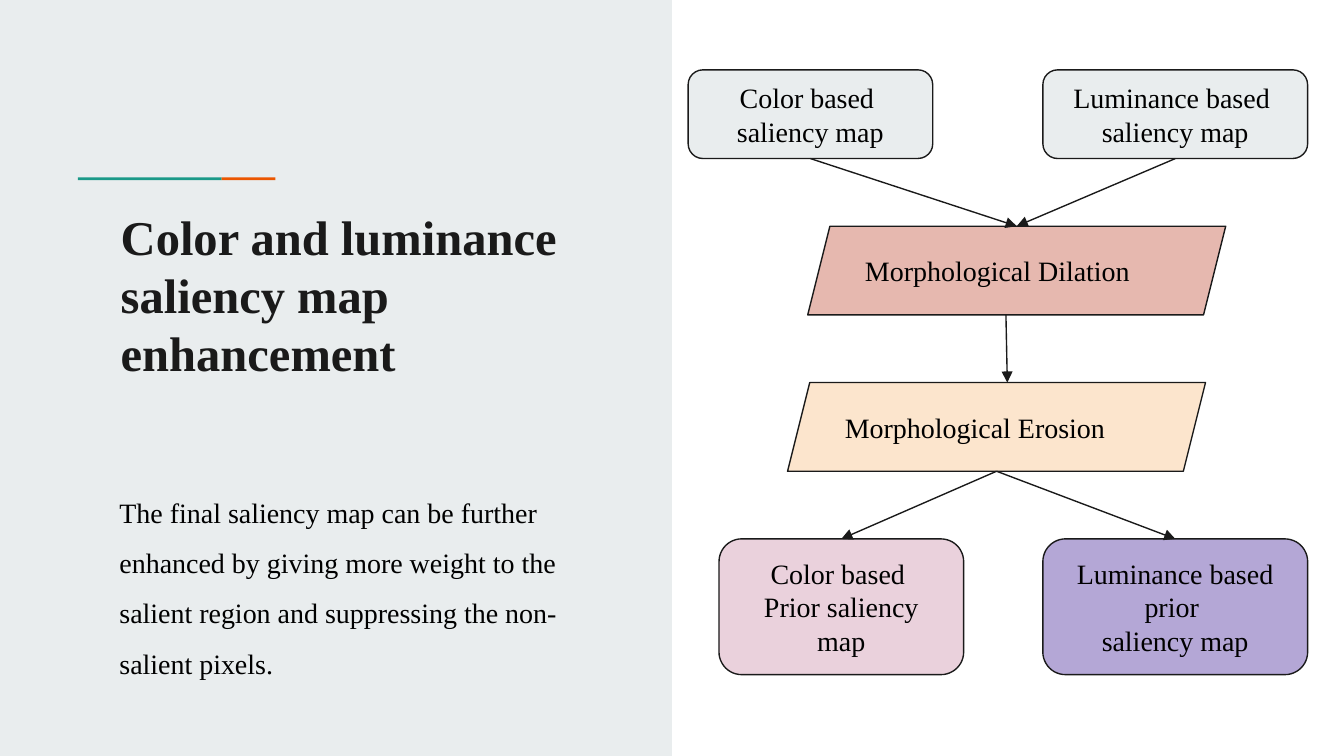
import pptx
import pptx.util
import pptx.dml.color
import pptx.enum.shapes
import pptx.enum.text
import pptx.oxml.ns
from lxml import etree

Inches, Pt = pptx.util.Inches, pptx.util.Pt
RGBColor = pptx.dml.color.RGBColor
Shape = pptx.enum.shapes.MSO_SHAPE
Align = pptx.enum.text.PP_ALIGN
Anchor = pptx.enum.text.MSO_ANCHOR
qn = pptx.oxml.ns.qn

FONT = "Times New Roman"
INK = RGBColor(0x1A, 0x1A, 0x1A)
BLACK = RGBColor(0x00, 0x00, 0x00)
MIST = RGBColor(0xE9, 0xED, 0xEE)
TEAL = RGBColor(0x1A, 0x99, 0x88)
ORANGE = RGBColor(0xEB, 0x56, 0x00)
ROSE = RGBColor(0xE6, 0xB8, 0xAF)
PEACH = RGBColor(0xFC, 0xE5, 0xCD)
PINK = RGBColor(0xEA, 0xD1, 0xDC)
LILAC = RGBColor(0xB4, 0xA7, 0xD6)

# Content
TITLE = "Color and luminance saliency map enhancement"
SUMMARY = ("The final saliency map can be further enhanced by giving more weight "
           "to the salient region and suppressing the non-salient pixels.")
ROUND, SLANT = Shape.ROUNDED_RECTANGLE, Shape.PARALLELOGRAM
# name: (kind, row, left, width, height, fill, lines)
STEPS = {
    "color map": (ROUND, 0, 5.12, 1.82, 0.66, MIST, ["Color based ", "saliency map"]),
    "luminance map": (ROUND, 0, 7.76, 1.97, 0.66, MIST, ["Luminance based ", "saliency map"]),
    "dilation": (SLANT, 1, 6.01, 3.11, 0.66, ROSE, ["Morphological Dilation"]),
    "erosion": (SLANT, 2, 5.86, 3.11, 0.66, PEACH, ["Morphological Erosion"]),
    "color prior": (ROUND, 3, 5.35, 1.82, 1.01, PINK, ["Color based ", "Prior saliency map"]),
    "luminance prior": (ROUND, 3, 7.76, 1.97, 1.01, LILAC,
                        ["Luminance based prior ", "saliency map"]),
}
# (from, to, shift of the start, shift of the end); slanted edges lie off centre
SLANT_SHIFT = 0.08
ARROWS = [
    ("color map", "dilation", 0, 0),
    ("luminance map", "dilation", 0, 0),
    ("dilation", "erosion", -SLANT_SHIFT, SLANT_SHIFT),
    ("erosion", "color prior", 0, 0),
    ("erosion", "luminance prior", 0, 0),
]

# Layout
WIDTH = 10
HEIGHT = WIDTH * 9 / 16
FIRST_ROW, LAST_ROW = 0.52, 4.01
ROW_PITCH = (LAST_ROW - FIRST_ROW) / 3
MARGIN = 0.1


def row_top(row):
    return FIRST_ROW + row * ROW_PITCH


def add_block(page, kind, left, top, width, height, fill, outlined=False):
    block = page.shapes.add_shape(kind, Inches(left), Inches(top), Inches(width), Inches(height))
    block.shadow.inherit = False
    block.fill.solid()
    block.fill.fore_color.rgb = fill
    if outlined:
        block.line.color.rgb = INK
        block.line.width = Pt(0.75)
    else:
        block.line.fill.background()
    return block


def write(box, lines, size, color, bold=False, align=Align.LEFT, anchor=Anchor.TOP, spacing=None):
    frame = box.text_frame
    frame.word_wrap = True
    frame.vertical_anchor = anchor
    frame.margin_left = frame.margin_right = Inches(MARGIN)
    frame.margin_top = frame.margin_bottom = Inches(MARGIN)
    frame.text = "\n".join(lines)
    for para in frame.paragraphs:
        para.alignment = align
        para.line_spacing = spacing
        para.font.name = FONT
        para.font.size = Pt(size)
        para.font.bold = bold
        para.font.color.rgb = color


def add_arrow(page, start, end, start_shift, end_shift):
    _, start_row, start_left, start_width, start_height = STEPS[start][:5]
    _, end_row, end_left, end_width = STEPS[end][:4]
    arrow = page.shapes.add_connector(
        pptx.enum.shapes.MSO_CONNECTOR.STRAIGHT,
        Inches(start_left + start_width / 2 + start_shift),
        Inches(row_top(start_row) + start_height),
        Inches(end_left + end_width / 2 + end_shift),
        Inches(row_top(end_row)))
    arrow.line.color.rgb = INK
    arrow.line.width = Pt(0.75)
    etree.SubElement(arrow.line._get_or_add_ln(), qn("a:tailEnd"), type="triangle")
    etree.SubElement(arrow._element.spPr, qn("a:effectLst"))


def main():
    deck = pptx.Presentation()
    deck.slide_width, deck.slide_height = Inches(WIDTH), Inches(HEIGHT)
    page = deck.slides.add_slide(deck.slide_layouts[6])

    # Left panel with its two-colour rule
    add_block(page, Shape.RECTANGLE, 0, 0, WIDTH / 2, HEIGHT, MIST)
    for left, width, color in [(0.58, 1.07, TEAL), (1.65, 0.4, ORANGE)]:
        add_block(page, Shape.RECTANGLE, left, 1.32, width, 0.02, color)

    # Title and summary
    title = page.shapes.add_textbox(Inches(0.8), Inches(1.44), Inches(3.61), Inches(1.85))
    write(title, [TITLE], 26, INK, bold=True)
    summary = page.shapes.add_textbox(Inches(0.79), Inches(3.46), Inches(3.61), Inches(0.83))
    write(summary, [SUMMARY], 15, BLACK, spacing=1.5)

    # Flow chart
    for kind, row, left, width, height, fill, lines in STEPS.values():
        step = add_block(page, kind, left, row_top(row), width, height, fill, outlined=True)
        align = Align.CENTER if kind == ROUND else Align.LEFT
        write(step, lines, 15, BLACK, align=align, anchor=Anchor.MIDDLE)
    for arrow in ARROWS:
        add_arrow(page, *arrow)

    deck.save("out.pptx")


if __name__ == "__main__":
    main()
